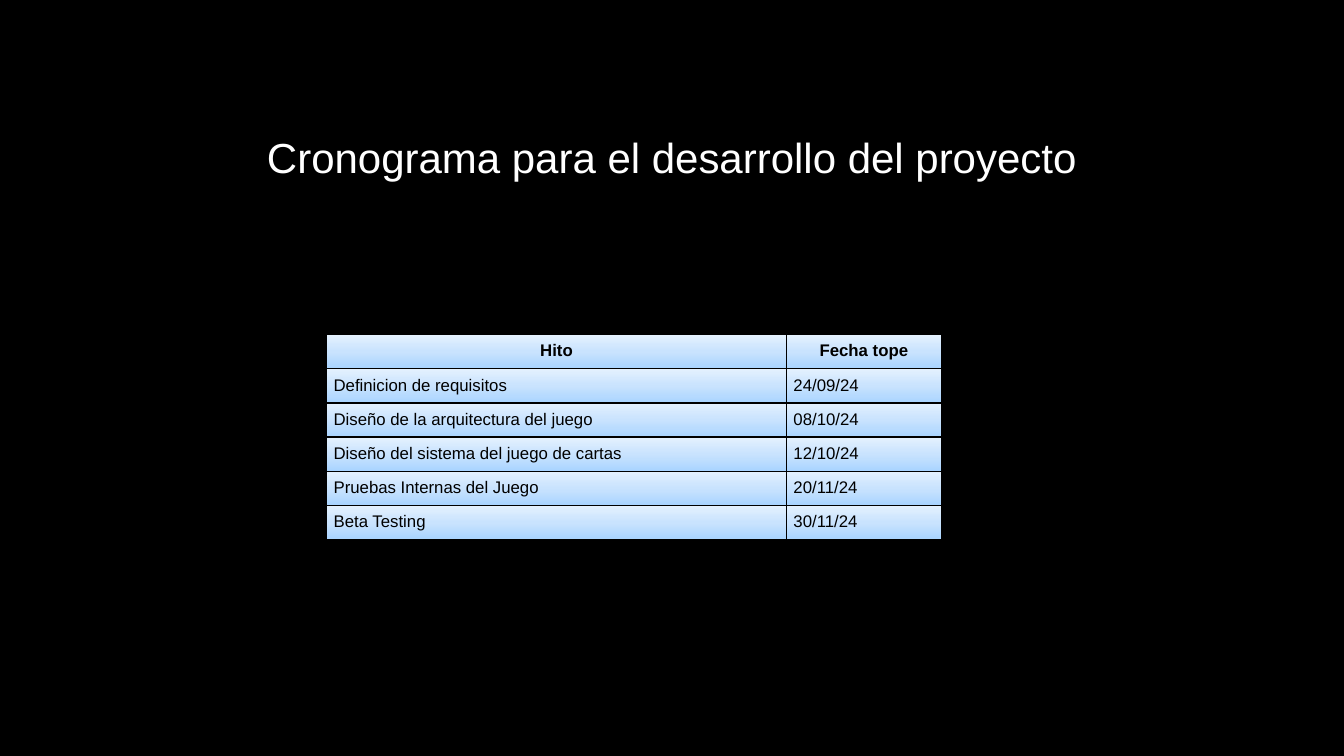
from lxml import etree
from pptx import Presentation
from pptx.dml.color import RGBColor
from pptx.enum.text import MSO_AUTO_SIZE as AutoSize, PP_ALIGN as Align
from pptx.oxml import parse_xml
from pptx.oxml.ns import nsdecls, qn
from pptx.util import Pt

MILESTONES = [
    ("Hito", "Fecha tope"),
    ("Definicion de requisitos", "24/09/24"),
    ("Diseño de la arquitectura del juego", "08/10/24"),
    ("Diseño del sistema del juego de cartas", "12/10/24"),
    ("Pruebas Internas del Juego", "20/11/24"),
    ("Beta Testing", "30/11/24"),
]


def color(hex_value):
    return RGBColor.from_string(hex_value)


class SlideBuilder:
    font_name = "Arial"
    black, white = "000000", "FFFFFF"
    cell_gradient = [(0, "A9D4FF"), (50, "C9E3FE"), (100, "E4F1FE")]
    cell_margin = Pt(5)

    def __init__(self, slide):
        self.slide = slide

    def background(self):
        fill = self.slide.background.fill
        fill.solid()
        fill.fore_color.rgb = color(self.black)

    def format_text(self, paragraph, size, hex_value, align, bold=False):
        paragraph.alignment = align
        for run in paragraph.runs:
            run.font.name = self.font_name
            run.font.size = Pt(size)
            run.font.bold = bold
            run.font.color.rgb = color(hex_value)

    def title(self, text, left, top, width, height):
        box = self.slide.shapes.add_textbox(Pt(left), Pt(top), Pt(width), Pt(height))
        text_frame = box.text_frame
        text_frame.word_wrap = True
        text_frame.auto_size = AutoSize.SHAPE_TO_FIT_TEXT
        text_frame.text = text
        self.format_text(text_frame.paragraphs[0], 30, self.white, Align.CENTER)

    def style_cell(self, cell):
        cell.margin_left = cell.margin_right = self.cell_margin
        cell.margin_top = cell.margin_bottom = self.cell_margin
        properties = cell._tc.get_or_add_tcPr()
        # Borders come before the fill
        for side in ("lnL", "lnR", "lnT", "lnB"):
            border = etree.SubElement(properties, qn(f"a:{side}"), w=str(Pt(1)))
            fill = etree.SubElement(border, qn("a:solidFill"))
            etree.SubElement(fill, qn("a:srgbClr"), val=self.black)
        stops = "".join(
            f'<a:gs pos="{percent * 1000}"><a:srgbClr val="{hex_value}"/></a:gs>'
            for percent, hex_value in self.cell_gradient
        )
        properties.append(parse_xml(
            f'<a:gradFill {nsdecls("a")}><a:gsLst>{stops}</a:gsLst>'
            f'<a:lin ang="{270 * 60000}" scaled="0"/></a:gradFill>'
        ))

    def table(self, rows, left, top, column_widths, row_height):
        frame = self.slide.shapes.add_table(
            len(rows), len(column_widths), Pt(left), Pt(top),
            Pt(sum(column_widths)), Pt(row_height * len(rows)))
        table = frame.table
        table.horz_banding = False
        for column, width in zip(table.columns, column_widths):
            column.width = Pt(width)
        for row_index, values in enumerate(rows):
            table.rows[row_index].height = Pt(row_height)
            is_header = row_index == 0
            for column_index, value in enumerate(values):
                cell = table.cell(row_index, column_index)
                cell.text_frame.text = value
                self.format_text(cell.text_frame.paragraphs[0], 12, self.black,
                                 Align.CENTER if is_header else Align.LEFT, is_header)
                self.style_cell(cell)


def main():
    presentation = Presentation()
    presentation.slide_width, presentation.slide_height = Pt(960), Pt(540)
    builder = SlideBuilder(presentation.slides.add_slide(presentation.slide_layouts[6]))

    # Background and heading
    builder.background()
    builder.title("Cronograma para el desarrollo del proyecto", 0, 90.7, 960, 44)

    # Milestone schedule
    builder.table(MILESTONES, 233.3, 239, [328.5, 110.7], 24.36)

    presentation.save("out.pptx")


if __name__ == "__main__":
    main()
